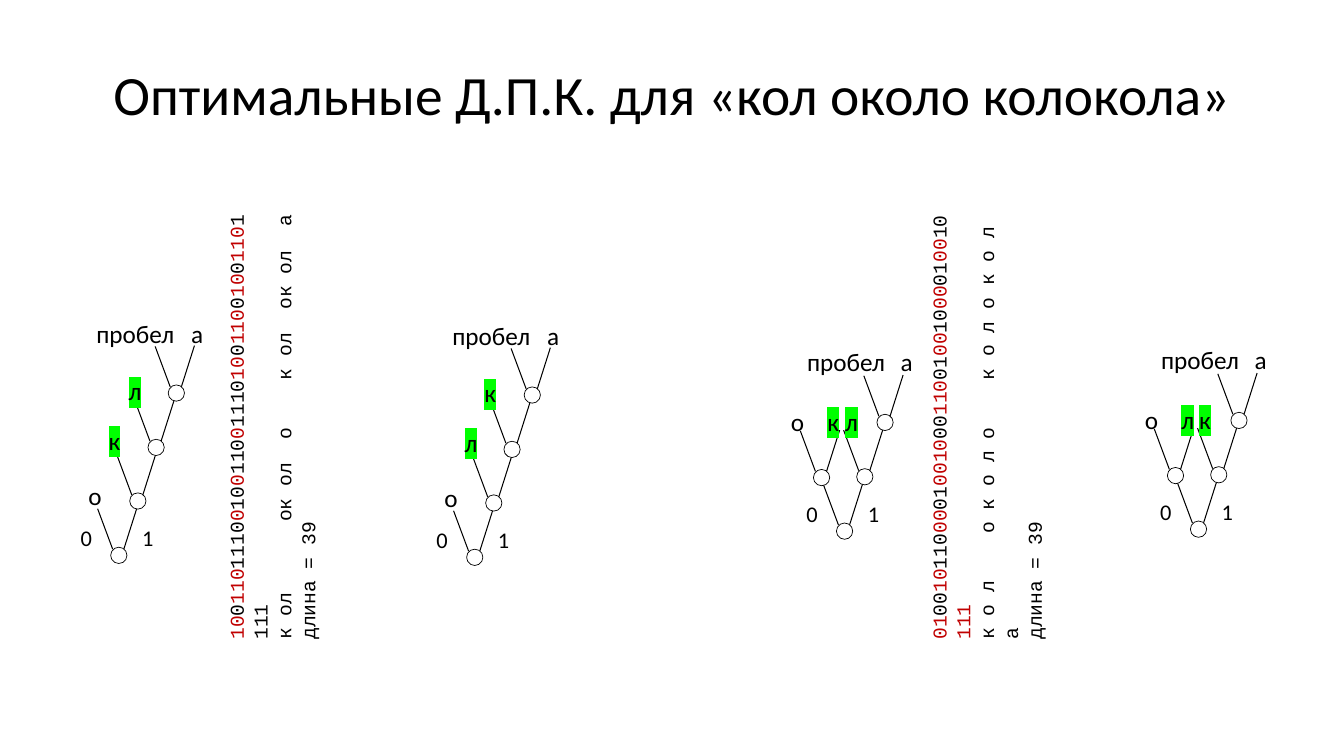
from lxml import etree
from pptx import Presentation
from pptx import util as u
from pptx.dml import color
from pptx.enum import shapes, text
from pptx.oxml import ns

BLACK, WHITE, RED, GREEN = "000000", "FFFFFF", "C00000", "00FF00"
NODE_SIZE = 0.41
# Branches run upwards; both ends are measured from a node's corner.
RIGHT_BRANCH = ((0.66, -0.99), (0.33, 0.05))
LEFT_BRANCH = ((-0.33, -0.97), (0.05, 0.05))

# Nodes and labels are measured in cm from the root's corner.
CHAIN_NODES = [(0, 0), (0.48, -1.37), (0.94, -2.72), (1.45, -4.09)]
CHAIN_LABELS = {"о": (-0.81, -1.8), "пробел": (-0.61, -5.89), "а": (1.78, -5.89)}
CHAIN_SWAPPED = [(-0.3, -3.2), (0.2, -4.45)]
BALANCED_NODES = [(0, 0), (0.51, -1.37), (1.02, -2.74), (-0.58, -1.35)]
BALANCED_LABELS = {"о": (-1.4, -3.07), "пробел": (-0.99, -4.57), "а": (1.37, -4.57)}
BALANCED_SWAPPED = [(-0.48, -3.07), (-0.03, -3.07)]
BIT_LABELS = {"0": (-1.01, -0.7), "1": (0.54, -0.7)}

# Code words are split where the colour changes.
CHAIN_CODE = "10 0 110 1110 0 10 0 110 0 1110 10 0 110 0 10 0 110 1111"
BALANCED_CODE = "01 00 10 110 00 01 0010 00 110 01 00 10 00 01 00 10 111"


def rgb(value):
    return color.RGBColor.from_string(value)


def set_font(font, size, name="Calibri", fill=BLACK):
    font.size = u.Pt(size)
    font.name = name
    font.color.rgb = rgb(fill)


def add_text_box(parent, left, top, width, height):
    box = parent.shapes.add_textbox(u.Cm(left), u.Cm(top), u.Cm(width), u.Cm(height))
    box.text_frame.word_wrap = True
    return box


def add_title(slide, wording):
    frame = add_text_box(slide, 1.69, 0.76, 30.48, 3.18).text_frame
    frame.vertical_anchor = text.MSO_ANCHOR.MIDDLE
    paragraph = frame.paragraphs[0]
    paragraph.text = wording
    paragraph.alignment = text.PP_ALIGN.CENTER
    set_font(paragraph.font, 39.6)


def add_label(group, wording, left, top, size=18, highlight=None):
    width = 2.59 if len(wording) > 1 else 0.86
    paragraph = add_text_box(group, left, top, width, 1.02).text_frame.paragraphs[0]
    run = paragraph.add_run()
    run.text = wording
    set_font(paragraph.font, size)
    if highlight:
        mark = etree.SubElement(run._r.get_or_add_rPr(), ns.qn("a:highlight"))
        etree.SubElement(mark, ns.qn("a:srgbClr"), val=highlight)


def add_branch(group, left, top, ends):
    (start_x, start_y), (end_x, end_y) = ends
    branch = group.shapes.add_connector(
        shapes.MSO_CONNECTOR.STRAIGHT,
        u.Cm(left + start_x), u.Cm(top + start_y),
        u.Cm(left + end_x), u.Cm(top + end_y))
    branch.line.color.rgb = rgb(BLACK)
    branch.line.width = u.Pt(0.75)
    etree.SubElement(branch._element.spPr, ns.qn("a:effectLst"))


def add_node(group, left, top):
    """Add a circle with the two branches that rise from it."""
    for ends in (RIGHT_BRANCH, LEFT_BRANCH):
        add_branch(group, left, top, ends)
    node = group.shapes.add_shape(
        shapes.MSO_SHAPE.OVAL, u.Cm(left), u.Cm(top), u.Cm(NODE_SIZE), u.Cm(NODE_SIZE))
    node.shadow.inherit = False
    node.fill.solid()
    node.fill.fore_color.rgb = rgb(WHITE)
    node.line.color.rgb = rgb(BLACK)
    node.line.width = u.Pt(0.5)


def add_tree(slide, root, nodes, labels, swapped, letters):
    """Draw a code tree; letters are the highlighted leaves at the swapped places."""
    group = slide.shapes.add_group_shape()
    left, top = root
    for x, y in nodes:
        add_node(group, left + x, top + y)
    for wording, (x, y) in labels.items():
        add_label(group, wording, left + x, top + y)
    for wording, (x, y) in BIT_LABELS.items():
        add_label(group, wording, left + x, top + y, size=16)
    for wording, (x, y) in zip(letters, swapped):
        add_label(group, wording, left + x, top + y, highlight=GREEN)


def add_encoding(slide, left, code, symbols):
    """Add the upward-reading bits, with the encoded symbols below them."""
    box = add_text_box(slide, left, 9.7, 11.28, 2.06)
    box.rotation = 270
    frame = box.text_frame
    bits = frame.paragraphs[0]
    for index, word in enumerate(code.split()):
        run = bits.add_run()
        run.text = word
        set_font(run.font, 14, "Courier New", BLACK if index % 2 else RED)
    for wording in (symbols, "длина = 39"):
        paragraph = frame.add_paragraph()
        paragraph.text = wording
        set_font(paragraph.font, 14, "Courier New")
    for paragraph in frame.paragraphs:
        paragraph.line_spacing = u.Pt(17)


def main():
    presentation = Presentation()
    presentation.slide_width = u.Cm(33.87)
    presentation.slide_height = u.Cm(19.05)
    slide = presentation.slides.add_slide(presentation.slide_layouts[6])

    add_title(slide, "Оптимальные Д.П.К. для «кол около колокола»")
    add_encoding(slide, 0.91, CHAIN_CODE, "к ол      ок ол  о    к ол  ок ол  а")
    add_encoding(slide, 18.62, BALANCED_CODE, "к о л    о к о л о    к о л о к о л а")

    chain = (CHAIN_NODES, CHAIN_LABELS, CHAIN_SWAPPED)
    balanced = (BALANCED_NODES, BALANCED_LABELS, BALANCED_SWAPPED)
    add_tree(slide, (2.79, 13.79), *chain, "кл")
    add_tree(slide, (11.76, 13.84), *chain, "лк")
    add_tree(slide, (21.08, 13.18), *balanced, "кл")
    add_tree(slide, (30, 13.13), *balanced, "лк")

    presentation.save("out.pptx")


if __name__ == "__main__":
    main()
